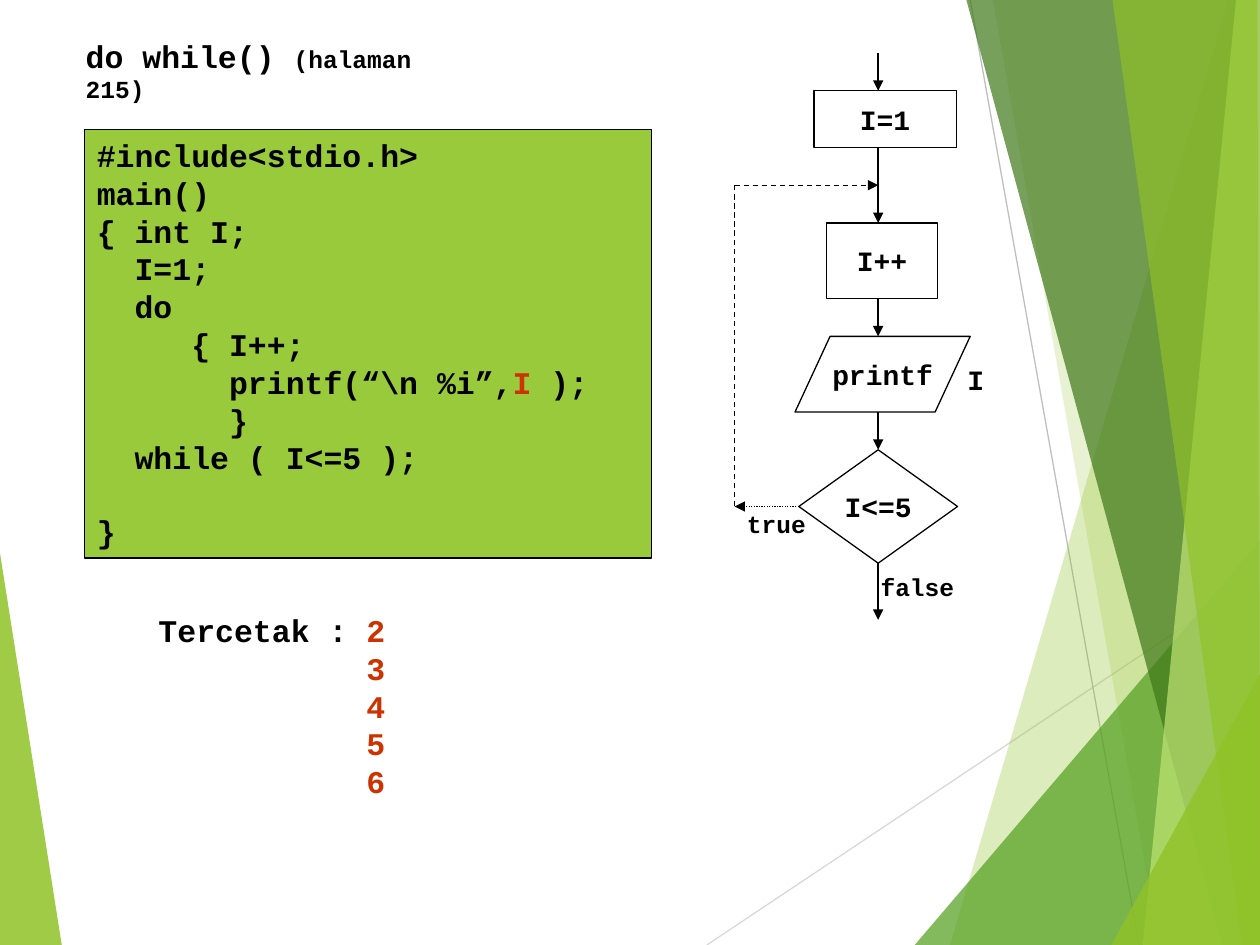
from lxml import etree
from pptx import Presentation
from pptx.dml.color import RGBColor
from pptx.enum.dml import MSO_LINE
from pptx.enum.shapes import MSO_CONNECTOR, MSO_SHAPE
from pptx.enum.text import MSO_ANCHOR, MSO_AUTO_SIZE, PP_ALIGN
from pptx.oxml.ns import qn
from pptx.util import Inches, Pt

RECTANGLE = MSO_SHAPE.RECTANGLE
DECISION = MSO_SHAPE.FLOWCHART_DECISION
INPUT_OUTPUT = MSO_SHAPE.FLOWCHART_DATA
DASH, DOTS = MSO_LINE.DASH, MSO_LINE.ROUND_DOT
LEFT, CENTER = PP_ALIGN.LEFT, PP_ALIGN.CENTER
TOP, MIDDLE = MSO_ANCHOR.TOP, MSO_ANCHOR.MIDDLE
BLACK = RGBColor(0x00, 0x00, 0x00)
RED = RGBColor(0xCC, 0x33, 0x00)
CODE_GREEN = RGBColor(0x99, 0xCA, 0x3C)
LIME = RGBColor(0x90, 0xC2, 0x26)
GREEN = RGBColor(0x54, 0xA0, 0x21)
DARK_GREEN = RGBColor(0x3F, 0x78, 0x19)
PALE_GREEN = RGBColor(0xC0, 0xE4, 0x74)
LIGHT_GRAY = RGBColor(0xD9, 0xD9, 0xD9)
GRAY = RGBColor(0xBF, 0xBF, 0xBF)
FONT = "Courier New"

# Content: a paragraph is a list of (text, colour, size) spans
TITLE = [[("do while() ", BLACK, 18), ("(halaman 215)", BLACK, 14)]]
CODE = [
    "#include<stdio.h>",
    "main()",
    "{ int I;",
    "  I=1;",
    "  do",
    "     { I++;",
    [("       printf(“\\n %i”,", BLACK, 18), ("I ", RED, 18), (");", BLACK, 18)],
    "       }",
    "  while ( I<=5 );",
    "}",
]
OUTPUT = [[("Tercetak :", BLACK, 18), (" 2", RED, 18)]] + [
    [(digit, RED, 18)] for digit in "3456"]

# Flowchart steps: text, shape, left, top, width, height
STEPS = [
    ("I=1", RECTANGLE, 6.46, 0.72, 1.13, 0.45),
    ("I++", RECTANGLE, 6.56, 1.77, 0.88, 0.6),
    ("printf", INPUT_OUTPUT, 6.31, 2.67, 1.39, 0.6),
    ("I<=5", DECISION, 6.34, 3.57, 1.26, 0.9),
]
# Labels: text, size, left, top, width, height
LABELS = [
    ("I", 16, 7.58, 2.83, 0.33, 0.37),
    ("false", 14, 6.89, 4.49, 0.78, 0.34),
    ("true", 14, 5.83, 3.99, 1.01, 0.34),
]
FLOW_X, LOOP_X, LOOP_Y = 6.97, 5.83, 1.47
FLOW_START, FLOW_END = 0.42, 4.92

# Background: colour, opacity in percent, corner points
LEFT_FACET = (LIME, 85, [(0, 4.39), (0.49, 7.5), (0, 7.5)])
RIGHT_FACETS = [
    (LIME, 30, [(9.75, 0), (7.54, 7.5), (10, 7.5), (10, 0)]),
    (LIME, 20, [(7.88, 0), (9.2, 7.5), (10, 7.5), (10, 0)]),
    (GREEN, 72, [(7.26, 7.5), (10, 4.29), (10, 7.5)]),
    (DARK_GREEN, 70, [(7.67, 0), (9.7, 7.5), (10, 7.5), (10, 0)]),
    (PALE_GREEN, 70, [(9.81, 0), (9.07, 7.5), (10, 7.5), (10, 0)]),
    (LIME, 65, [(8.83, 0), (9.86, 7.5), (10, 7.5), (9.98, 0)]),
    (LIME, 80, [(8.82, 7.5), (10, 5.35), (10, 7.5)]),
]

deck = Presentation()
deck.slide_width, deck.slide_height = Inches(10), Inches(7.5)
page = deck.slides.add_slide(deck.slide_layouts[5])


def write(box, lines, size=18, align=LEFT, anchor=TOP, wrap=False):
    """Fill a shape with bold monospaced paragraphs."""
    frame = box.text_frame
    frame.auto_size = MSO_AUTO_SIZE.NONE
    frame.word_wrap = wrap
    frame.vertical_anchor = anchor
    for number, line in enumerate(lines):
        para = frame.add_paragraph() if number else frame.paragraphs[0]
        para.alignment = align
        spans = [(line, BLACK, size)] if isinstance(line, str) else line
        for text, color, points in spans:
            span = para.add_run()
            span.text = text
            span.font.name = FONT
            span.font.size = Pt(points)
            span.font.bold = True
            span.font.color.rgb = color
    return frame.paragraphs


def add_box(kind, left, top, width, height, fill=None):
    box = page.shapes.add_shape(kind, *map(Inches, (left, top, width, height)))
    box.shadow.inherit = False
    if fill is None:
        box.fill.background()
    else:
        box.fill.solid()
        box.fill.fore_color.rgb = fill
    box.line.color.rgb = BLACK
    box.line.width = Pt(0.75)
    return box


def add_text(lines, left, top, width, height, **style):
    box = page.shapes.add_textbox(*map(Inches, (left, top, width, height)))
    return write(box, lines, **style)


def add_line(start, end, color=BLACK, width=0.75, dash=None, arrow=False):
    line = page.shapes.add_connector(
        MSO_CONNECTOR.STRAIGHT, *map(Inches, (*start, *end)))
    line.line.color.rgb = color
    line.line.width = Pt(width)
    if dash is not None:
        line.line.dash_style = dash
    if arrow:
        etree.SubElement(line.line._get_or_add_ln(), qn("a:tailEnd"), type="triangle")
    etree.SubElement(line._element.spPr, qn("a:effectLst"))
    return line


def add_facet(color, opacity, points):
    corners = [(Inches(x), Inches(y)) for x, y in points]
    builder = page.shapes.build_freeform(*corners[0])
    builder.add_line_segments(corners[1:])
    facet = builder.convert_to_shape()
    facet.shadow.inherit = False
    facet.fill.solid()
    facet.fill.fore_color.rgb = color
    facet.line.fill.background()
    tint = facet.fill._xPr.find(qn("a:solidFill"))[0]
    etree.SubElement(tint, qn("a:alpha"), val=str(opacity * 1000))


# Background facets and thin lines
add_facet(*LEFT_FACET)
add_line((5.61, 7.5), (10, 4.57), color=LIGHT_GRAY)
add_line((7.7, 0), (9.04, 7.5), color=GRAY)
for facet_format in RIGHT_FACETS:
    add_facet(*facet_format)

# Title
title = page.shapes.title
title.left, title.top, title.width, title.height = map(
    Inches, (0.58, 0.24, 3.37, 0.4))
write(title, TITLE)

# Program listing, with one line of space above the closing brace
listing = add_box(RECTANGLE, 0.67, 1.03, 4.5, 3.4, fill=CODE_GREEN)
write(listing, CODE, wrap=True)[-1].space_before = Pt(20.4)

# Printed numbers, aligned under the first one
for para in add_text(OUTPUT, 1.16, 4.8, 2, 1.6)[1:]:
    para._p.get_or_add_pPr().set("marL", str(Inches(1.65)))

# Flowchart steps and labels
for text, kind, *place in STEPS:
    step = add_box(kind, *place)
    write(step, [text], size=16, align=CENTER, anchor=MIDDLE)
decision = step
for text, size, *place in LABELS:
    add_text([text], *place, size=size)

# Downward arrows between the steps
starts = [FLOW_START] + [top + height for *_, top, _, height in STEPS]
ends = [top for *_, top, _, _ in STEPS] + [FLOW_END]
arrows = [add_line((FLOW_X, start), (FLOW_X, end), width=1, arrow=True)
          for start, end in zip(starts, ends)]
arrows[-2].end_connect(decision, 0)
arrows[-1].begin_connect(decision, 2)

# Loop back from the decision
decision_y = 4.02
true_arrow = add_line((6.34, decision_y), (LOOP_X, decision_y), dash=DOTS, arrow=True)
true_arrow.begin_connect(decision, 1)
add_line((LOOP_X, decision_y), (LOOP_X, LOOP_Y), dash=DASH)
add_line((LOOP_X, LOOP_Y), (FLOW_X, LOOP_Y), dash=DASH, arrow=True)

deck.save("out.pptx")
